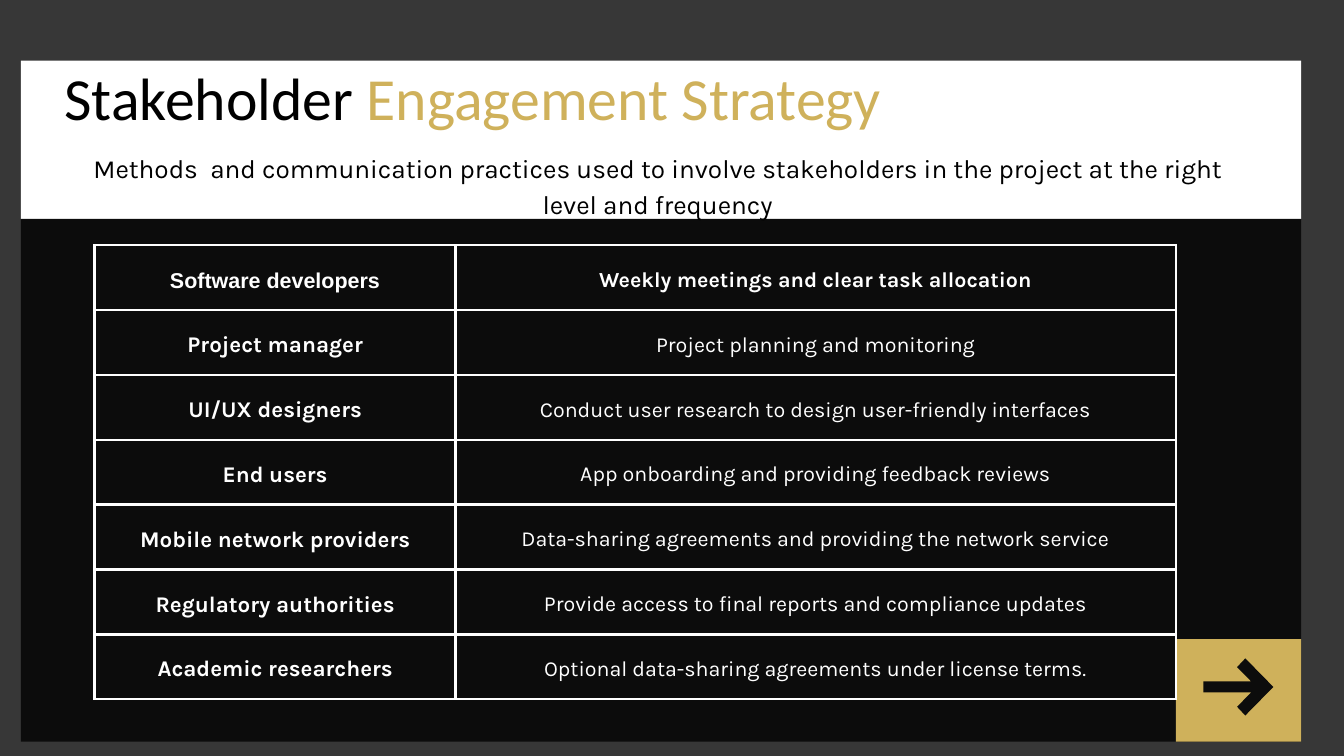
from lxml.etree import SubElement
from pptx import Presentation
from pptx.dml.color import RGBColor
from pptx.enum.shapes import MSO_SHAPE
from pptx.enum.text import MSO_ANCHOR, MSO_AUTO_SIZE, PP_ALIGN
from pptx.oxml.ns import qn
from pptx.util import Cm, Pt

TITLE = [("Stakeholder ", "black"), ("Engagement Strategy", "gold")]
SUBTITLE = ("Methods  and communication practices used to involve stakeholders "
            "in the project at the right level and frequency")
STRATEGIES = [
    ("Software developers", "Weekly meetings and clear task allocation"),
    ("Project manager", "Project planning and monitoring"),
    ("UI/UX designers", "Conduct user research to design user-friendly interfaces"),
    ("End users", "App onboarding and providing feedback reviews"),
    ("Mobile network providers", "Data-sharing agreements and providing the network service"),
    ("Regulatory authorities", "Provide access to final reports and compliance updates"),
    ("Academic researchers", "Optional data-sharing agreements under license terms."),
]

THEME = {
    "colors": {"page": "373737", "white": "FFFFFF", "ink": "0C0C0C",
               "gold": "CFB15B", "black": "000000"},
    "styles": {
        "title": {"name": "Calibri", "size": Pt(64), "bold": False},
        "subtitle": {"name": "Karla", "size": Pt(28), "bold": False},
        "first_group": {"name": "Arial", "size": Pt(23), "bold": True},
        "first_method": {"name": "Karla", "size": Pt(23), "bold": True},
        "group": {"name": "Karla", "size": Pt(24), "bold": True},
        "method": {"name": "Karla", "size": Pt(23), "bold": False},
    },
    "leading": {"title": 1.3, "body": 1.4},
}

LEFT, TOP, RIGHT, BOTTOM = 0.79, 2.29, 49.18, 28.04
HEADER_BOTTOM = 8.28
BADGE_LEFT, BADGE_TOP = 44.45, 24.16
PANELS = [
    (LEFT, TOP, RIGHT, HEADER_BOTTOM, "white"),
    (LEFT, HEADER_BOTTOM, RIGHT, BOTTOM, "ink"),
    (BADGE_LEFT, BADGE_TOP, RIGHT, BOTTOM, "gold"),
]
ARROW_TIP = (48.13, 25.97)
ARROW_HALF = [(45.49, 0.21), (47.29, 0.21), (46.76, 0.75), (47.07, 1.08)]
TABLE_LEFT, TABLE_TOP, TABLE_HEIGHT = 3.58, 9.27, 17.17
COLUMN_WIDTHS = (13.64, 27.23)
CELL_MARGIN = 0.53
TEXT_LEFT, TEXT_WIDTH = 2.44, 44.83


def color(name):
    return RGBColor.from_string(THEME["colors"][name])


def apply(target, values):
    for key, value in values.items():
        setattr(target, key, value)


def paint(shape, name):
    shape.shadow.inherit = False
    shape.fill.solid()
    shape.fill.fore_color.rgb = color(name)
    shape.line.fill.background()


def write(frame, spans, style, leading, alignment):
    font = THEME["styles"][style]
    para = frame.paragraphs[0]
    apply(para, {"alignment": alignment, "space_before": Pt(0),
                 "line_spacing": Pt(font["size"].pt * THEME["leading"][leading])})
    for text, name in spans:
        span = para.add_run()
        span.text = text
        apply(span.font, font)
        span.font.color.rgb = color(name)


def prepare(box, top, height):
    apply(box, {"left": Cm(TEXT_LEFT), "top": Cm(top),
                "width": Cm(TEXT_WIDTH), "height": Cm(height)})
    apply(box.text_frame, {
        "word_wrap": True, "auto_size": MSO_AUTO_SIZE.NONE,
        "vertical_anchor": MSO_ANCHOR.TOP, "margin_left": 0,
        "margin_right": 0, "margin_top": 0, "margin_bottom": 0})


def draw_borders(cell):
    properties = cell._tc.get_or_add_tcPr()
    for index, side in enumerate(("lnL", "lnR", "lnT", "lnB")):
        line = SubElement(properties, qn("a:" + side), w=str(Pt(3)))
        properties.insert(index, line)
        fill = SubElement(line, qn("a:solidFill"))
        SubElement(fill, qn("a:srgbClr"), val=THEME["colors"]["white"])


def add_panels(page):
    for left, top, right, bottom, name in PANELS:
        panel = page.shapes.add_shape(MSO_SHAPE.RECTANGLE, Cm(left), Cm(top),
                                      Cm(right - left), Cm(bottom - top))
        paint(panel, name)


def add_arrow(page):
    tip_x, middle = ARROW_TIP
    upper = [(Cm(x), Cm(middle - half)) for x, half in ARROW_HALF]
    lower = [(Cm(x), Cm(middle + half)) for x, half in reversed(ARROW_HALF)]
    outline = page.shapes.build_freeform(*upper[0])
    outline.add_line_segments(upper[1:] + [(Cm(tip_x), Cm(middle))] + lower, close=True)
    paint(outline.convert_to_shape(), "ink")


def add_strategy_table(page):
    table = page.shapes.add_table(
        len(STRATEGIES), len(COLUMN_WIDTHS), Cm(TABLE_LEFT), Cm(TABLE_TOP),
        Cm(sum(COLUMN_WIDTHS)), Cm(TABLE_HEIGHT)).table
    for column, width in zip(table.columns, COLUMN_WIDTHS):
        column.width = Cm(width)
    for row, texts in enumerate(STRATEGIES):
        for column, (text, style) in enumerate(zip(texts, ("group", "method"))):
            cell = table.cell(row, column)
            apply(cell, {"vertical_anchor": MSO_ANCHOR.MIDDLE,
                         "margin_left": Cm(CELL_MARGIN), "margin_right": Cm(CELL_MARGIN),
                         "margin_top": Cm(CELL_MARGIN), "margin_bottom": Cm(CELL_MARGIN)})
            cell.fill.background()
            draw_borders(cell)
            write(cell.text_frame, [(text, "white")],
                  style if row else "first_" + style, "body", PP_ALIGN.CENTER)


def add_heading(page):
    title = page.shapes.title
    page.shapes.element.append(title.element)
    prepare(title, 2.06, 2.82)
    write(title.text_frame, TITLE, "title", "title", PP_ALIGN.LEFT)
    subtitle = page.shapes.add_textbox(0, 0, 0, 0)
    prepare(subtitle, 5.56, 2.67)
    write(subtitle.text_frame, [(SUBTITLE, "black")], "subtitle", "body", PP_ALIGN.CENTER)


def main():
    deck = Presentation()
    apply(deck, {"slide_width": Cm(50.8), "slide_height": Cm(28.58)})
    page = deck.slides.add_slide(deck.slide_layouts[5])
    page.background.fill.solid()
    page.background.fill.fore_color.rgb = color("page")
    add_panels(page)
    add_arrow(page)
    add_strategy_table(page)
    add_heading(page)
    deck.save("out.pptx")


if __name__ == "__main__":
    main()
